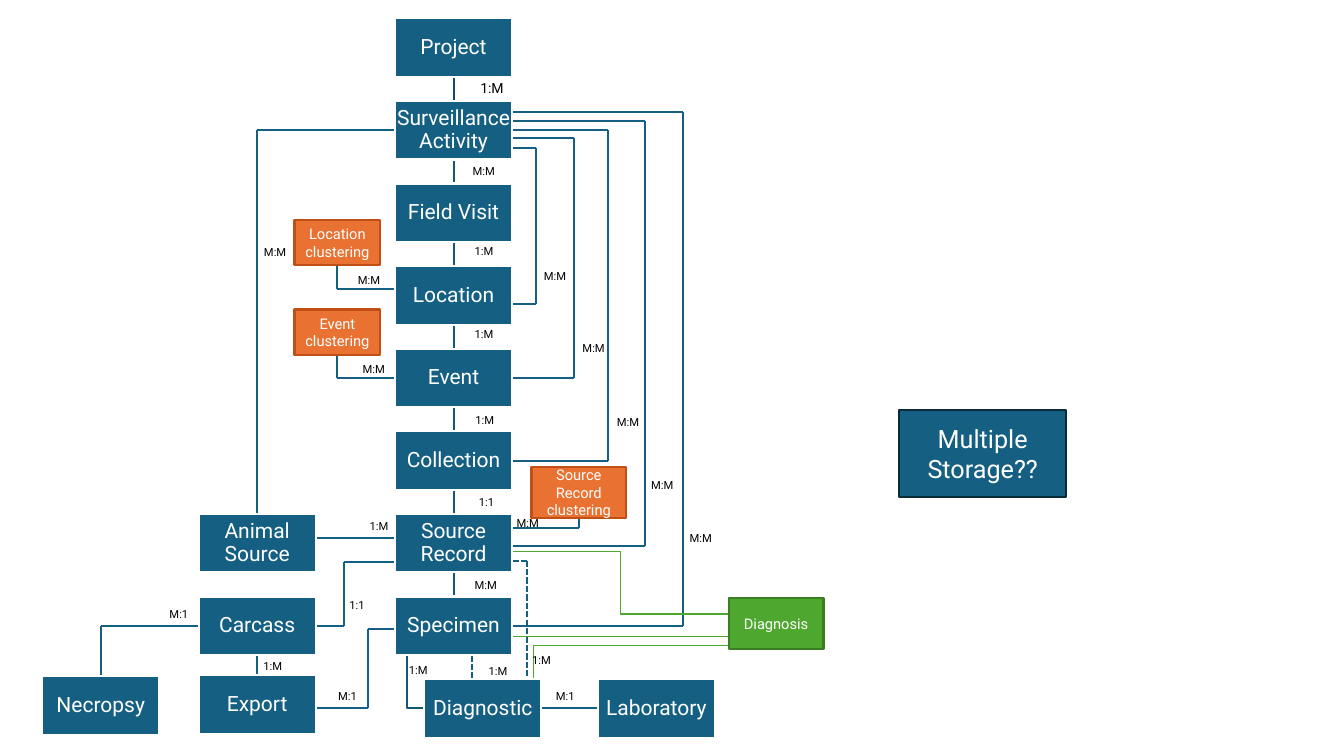
"""Build the surveillance data model diagram."""
import math

import lxml.etree
import pptx
import pptx.dml.color
import pptx.enum.dml
import pptx.enum.shapes
import pptx.enum.text
import pptx.oxml.ns
import pptx.util

Pt = pptx.util.Pt
qn = pptx.oxml.ns.qn
RGB = pptx.dml.color.RGBColor.from_string
RECTANGLE = pptx.enum.shapes.MSO_SHAPE.RECTANGLE
STRAIGHT = pptx.enum.shapes.MSO_CONNECTOR.STRAIGHT
ELBOW = pptx.enum.shapes.MSO_CONNECTOR.ELBOW
COLORS = {
    "blue": "156082", "navy": "135776", "deep": "114D68", "ink": "092A39",
    "orange": "E97132", "rust": "C04F15", "green": "4EA72E", "forest": "3B7D23",
    "white": "FFFFFF", "black": "000000",
}

deck = pptx.Presentation()
deck.slide_width, deck.slide_height = Pt(960), Pt(540)
page = deck.slides.add_slide(deck.slide_layouts[6])
anchors = []


def write(box, text, size, color):
    para = box.text_frame.paragraphs[0]
    span = para.add_run()
    span.text = text
    span.font.size = Pt(size)
    span.font.name = "Roboto"
    span.font.color.rgb = RGB(COLORS[color])
    return para


def connect(start, end, color, width=1.5, dashed=False, kind=STRAIGHT):
    line = page.shapes.add_connector(kind, *(Pt(value) for value in (*start, *end)))
    for point, join in ((start, line.begin_connect), (end, line.end_connect)):
        for place, box, site in anchors:
            if math.dist(point, place) < 1:
                join(box, site)
    line.line.color.rgb = RGB(COLORS[color])
    line.line.width = Pt(width)
    if dashed:
        line.line.dash_style = pptx.enum.dml.MSO_LINE.SQUARE_DOT
    lxml.etree.SubElement(line.element.spPr, qn("a:effectLst"))
    line.element.getparent().insert(2, line.element)
    return line


ENTITY = (83.5, 41.8, "blue", "white", 15)
CLUSTER = (61.2, 32.4, "orange", "rust", 10.5)
STAGES = ["Project", "Surveillance Activity", "Field Visit", "Location",
          "Event", "Collection", "Source Record", "Specimen"]
PITCH = 59
boxes = [(stage, 324, 34 + PITCH * row, *ENTITY) for row, stage in enumerate(STAGES)]
boxes += [
    ("Animal Source", 183.75, 388, *ENTITY),
    ("Carcass", 183.75, 447, *ENTITY),
    ("Export", 183.75, 503.3, *ENTITY),
    ("Necropsy", 72, 504, *ENTITY),
    ("Diagnostic", 344.9, 506, *ENTITY),
    ("Laboratory", 468.9, 506, *ENTITY),
    ("Location clustering", 241, 173.2, *CLUSTER),
    ("Event clustering", 241, 237.3, *CLUSTER),
    ("Source Record clustering", 413.5, 351.7, 67.7, 36.7, "orange", "rust", 10.5),
    ("Diagnosis", 554.4, 445.3, 67.7, 36.7, "green", "forest", 10.5),
    ("Multiple Storage??", 702, 324, 119.5, 61.9, "blue", "ink", 18),
]
for name, middle, center, width, height, fill, outline, size in boxes:
    left, top = middle - width / 2, center - height / 2
    box = page.shapes.add_shape(RECTANGLE, Pt(left), Pt(top), Pt(width), Pt(height))
    box.shadow.inherit = False
    box.fill.solid()
    box.fill.fore_color.rgb = RGB(COLORS[fill])
    box.line.color.rgb = RGB(COLORS[outline])
    box.line.width = Pt(1.5)
    frame = box.text_frame
    frame.word_wrap = True
    frame.vertical_anchor = pptx.enum.text.MSO_ANCHOR.MIDDLE
    para = write(box, name, size, "white")
    para.alignment = pptx.enum.text.PP_ALIGN.CENTER
    if outline == "white":
        para.line_spacing = 0.9
        frame.margin_left = frame.margin_right = Pt(0.7)
        frame.margin_top = frame.margin_bottom = Pt(0.7)
    sides = [(middle, top), (left, center), (middle, top + height), (left + width, center)]
    anchors += [(side, box, site) for site, side in enumerate(sides)]

connect((366, 394), (520.5, 438.5), "green", 1, kind=ELBOW)
connect((366, 454.8), (520.5, 454.8), "green", 1)
diagnosis_link = connect((381, 487.5), (520.5, 461.3), "green", 1, kind=ELBOW)
guides = diagnosis_link.element.spPr.find(qn("a:prstGeom")).find(qn("a:avLst"))
lxml.etree.SubElement(guides, qn("a:gd"), name="adj1", fmla="val 200")

for row in range(len(STAGES) - 1):
    bottom = 54.9 + PITCH * row
    connect((324, bottom), (324, bottom + 17.2), "navy" if row else "deep")

right_loops = [(106, 383, 217), (98.5, 410, 270), (93, 434, 329),
               (86.5, 461, 390), (80, 488, 447)]
routes = [(False, [(366, upper), (lane, upper), (lane, lower), (366, lower)])
          for upper, lane, lower in right_loops]
routes += [
    (False, [(282, 93), (183.75, 93), (183.75, 367)]),
    (False, [(226, 384.5), (282, 384.5)]),
    (False, [(282, 401.5), (246, 401.5), (246, 447), (226, 447)]),
    (False, [(226, 505.5), (263, 505.5), (263, 449), (282, 449)]),
    (False, [(142, 447), (72, 447), (72, 483)]),
    (False, [(183.75, 468), (183.75, 482.4)]),
    (False, [(386.7, 506), (427.2, 506)]),
    (False, [(241, 189.4), (241, 206.5), (282, 206.5)]),
    (False, [(241, 253.5), (241, 270), (282, 270)]),
    (False, [(413.5, 370), (413.5, 377), (366, 377)]),
    (True, [(366, 400.5), (376.5, 400.5), (376.5, 485)]),
    (True, [(337, 468), (337, 485)]),
]
for dashed, points in routes:
    for start, end in zip(points, points[1:]):
        connect(start, end, "blue", dashed=dashed)

outline = page.shapes.build_freeform(Pt(290.5), Pt(468))
outline.add_line_segments([(Pt(290.5), Pt(506)), (Pt(303), Pt(506))], close=False)
specimen_link = outline.convert_to_shape()
specimen_link.shadow.inherit = False
specimen_link.fill.background()
specimen_link.line.color.rgb = RGB(COLORS["navy"])
specimen_link.line.width = Pt(1.5)
specimen_link.element.getparent().insert(2, specimen_link.element)

labels = {
    "M:M": [(458, 338), (485.5, 376), (433.5, 293), (409, 240), (381.5, 188.5),
            (330.5, 114), (332, 409.5), (181.5, 172), (248.5, 192), (252, 255.5),
            (362, 365)],
    "1:M": [(336, 53.5), (332, 171), (332, 230.5), (332.5, 291.5), (257, 367.5),
            (285, 470), (181, 467.5), (373, 463), (342, 471)],
    "M:1": [(390, 489), (114, 430.5), (234.5, 489)],
    "1:1": [(335, 350), (242.5, 423.5)],
}
for ratio, places in labels.items():
    for left, top in places:
        box = page.shapes.add_textbox(Pt(left), Pt(top), Pt(45), Pt(17))
        box.text_frame.word_wrap = True
        write(box, ratio, 10 if top == 53.5 else 8, "black")

deck.save("out.pptx")
